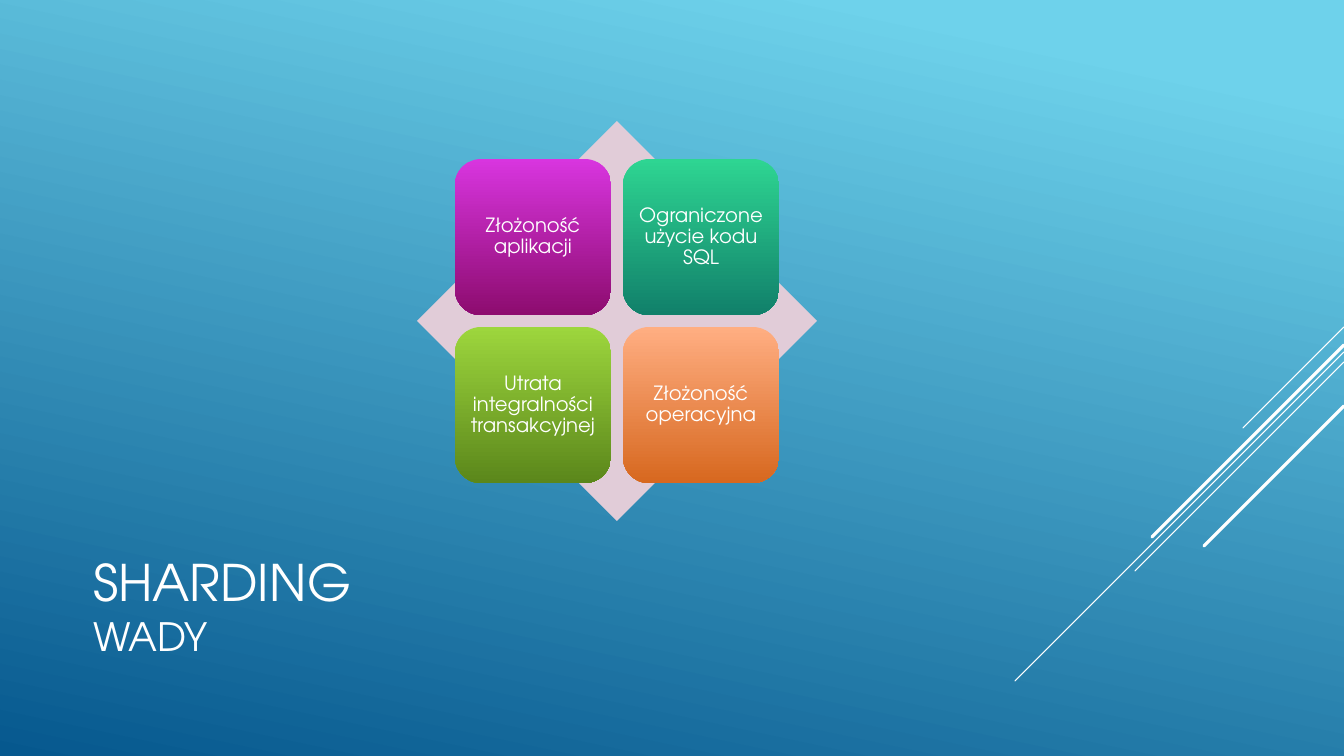
import pptx
import pptx.util
import pptx.dml.color
import pptx.enum.shapes
import pptx.enum.text
import pptx.oxml.ns
from lxml import etree

# Content
TITLE = [("SHARDING", "title"), ("WADY", "subtitle")]
TILES = [
    ("Złożoność aplikacji", "purple"),
    ("Ograniczone użycie kodu SQL", "green"),
    ("Utrata integralności transakcyjnej", "lime"),
    ("Złożoność operacyjna", "orange"),
]
# Diagonals from the right edge: start y, run in px, width in points
DIAGONALS = [(327, 101, 0.75), (352, 329, 0.75), (362, 209, 0.75),
             (345, 192, 2.25), (406, 140, 2.25)]

THEME = {
    "font": "TeX Gyre Adventor",
    "sizes": {"title": 36, "subtitle": 27.9, "tile": 14},
    "white": "FFFFFF",
    "diamond": "E1CCD8",
    "background": ("6ED2EB", "06588E"),
    "purple": ("D835DF", "8D0C6F"),
    "green": ("2ED592", "11806A"),
    "lime": ("9DD63D", "5B871B"),
    "orange": ("FFAE82", "D7681F"),
}

# Layout in px
SLIDE_W, SLIDE_H = 1344, 756
TITLE_BOX = (83, 572, 960, 92)
CENTRE_X, CENTRE_Y = 617, 321
DIAMOND, TILE, GAP, INSET = 400, 156, 12, 6

SHAPE = pptx.enum.shapes.MSO_SHAPE
ALIGN = pptx.enum.text.PP_ALIGN
ANCHOR = pptx.enum.text.MSO_ANCHOR


def px(n):
    return pptx.util.Emu(round(n * 914400 / 100.8))


def rgb(value):
    return pptx.dml.color.RGBColor.from_string(value)


def set_gradient(fill, colours, angle, start=0):
    fill.gradient()
    fill.gradient_angle = 360 - angle
    for stop, colour, position in zip(fill.gradient_stops, colours, (start, 1)):
        stop.color.rgb = rgb(colour)
        stop.position = position


def add_run(p, text, size):
    r = p.add_run()
    r.text = text
    r.font.name = THEME["font"]
    r.font.size = pptx.util.Pt(THEME["sizes"][size])
    r.font.color.rgb = rgb(THEME["white"])


def add_plain_shape(s, kind, x, y, size):
    sp = s.shapes.add_shape(kind, px(x), px(y), px(size), px(size))
    sp.shadow.inherit = False
    sp.line.fill.background()
    return sp


def add_diagonal(s, y, run, width):
    c = s.shapes.add_connector(pptx.enum.shapes.MSO_CONNECTOR.STRAIGHT,
                               px(SLIDE_W), px(y), px(SLIDE_W - run), px(y + run))
    c.line.color.rgb = rgb(THEME["white"])
    c.line.width = pptx.util.Pt(width)
    c.get_or_add_ln().set("cap", "rnd")
    etree.SubElement(c._element.spPr, pptx.oxml.ns.qn("a:effectLst"))


def add_title(s):
    sp = s.shapes.title
    sp.left, sp.top, sp.width, sp.height = map(px, TITLE_BOX)
    tf = sp.text_frame
    tf.word_wrap = True
    tf.auto_size = pptx.enum.text.MSO_AUTO_SIZE.NONE
    tf.vertical_anchor = ANCHOR.BOTTOM
    p = tf.paragraphs[0]
    p.alignment = ALIGN.LEFT
    for i, (text, size) in enumerate(TITLE):
        if i:
            p.add_line_break()
        add_run(p, text, size)


def add_tile(s, index, text, colours):
    row, col = divmod(index, 2)
    offset = TILE + GAP / 2
    sp = add_plain_shape(s, SHAPE.ROUNDED_RECTANGLE,
                         CENTRE_X - offset + col * (TILE + GAP),
                         CENTRE_Y - offset + row * (TILE + GAP), TILE)
    set_gradient(sp.fill, colours, 90)
    tf = sp.text_frame
    tf.word_wrap = True
    tf.vertical_anchor = ANCHOR.MIDDLE
    tf.margin_left = tf.margin_right = tf.margin_top = tf.margin_bottom = px(INSET)
    p = tf.paragraphs[0]
    p.alignment = ALIGN.CENTER
    p.line_spacing = 0.9
    add_run(p, text, "tile")


def main():
    prs = pptx.Presentation()
    prs.slide_width, prs.slide_height = px(SLIDE_W), px(SLIDE_H)
    s = prs.slides.add_slide(prs.slide_layouts[5])

    # Background and diagonal lines
    set_gradient(s.background.fill, THEME["background"], 102, 0.1)
    for diagonal in DIAGONALS:
        add_diagonal(s, *diagonal)

    add_title(s)

    # Diamond with four tiles
    diamond = add_plain_shape(s, SHAPE.DIAMOND, CENTRE_X - DIAMOND / 2,
                              CENTRE_Y - DIAMOND / 2, DIAMOND)
    diamond.fill.solid()
    diamond.fill.fore_color.rgb = rgb(THEME["diamond"])
    for i, (text, colour) in enumerate(TILES):
        add_tile(s, i, text, THEME[colour])

    prs.save("out.pptx")


if __name__ == "__main__":
    main()
